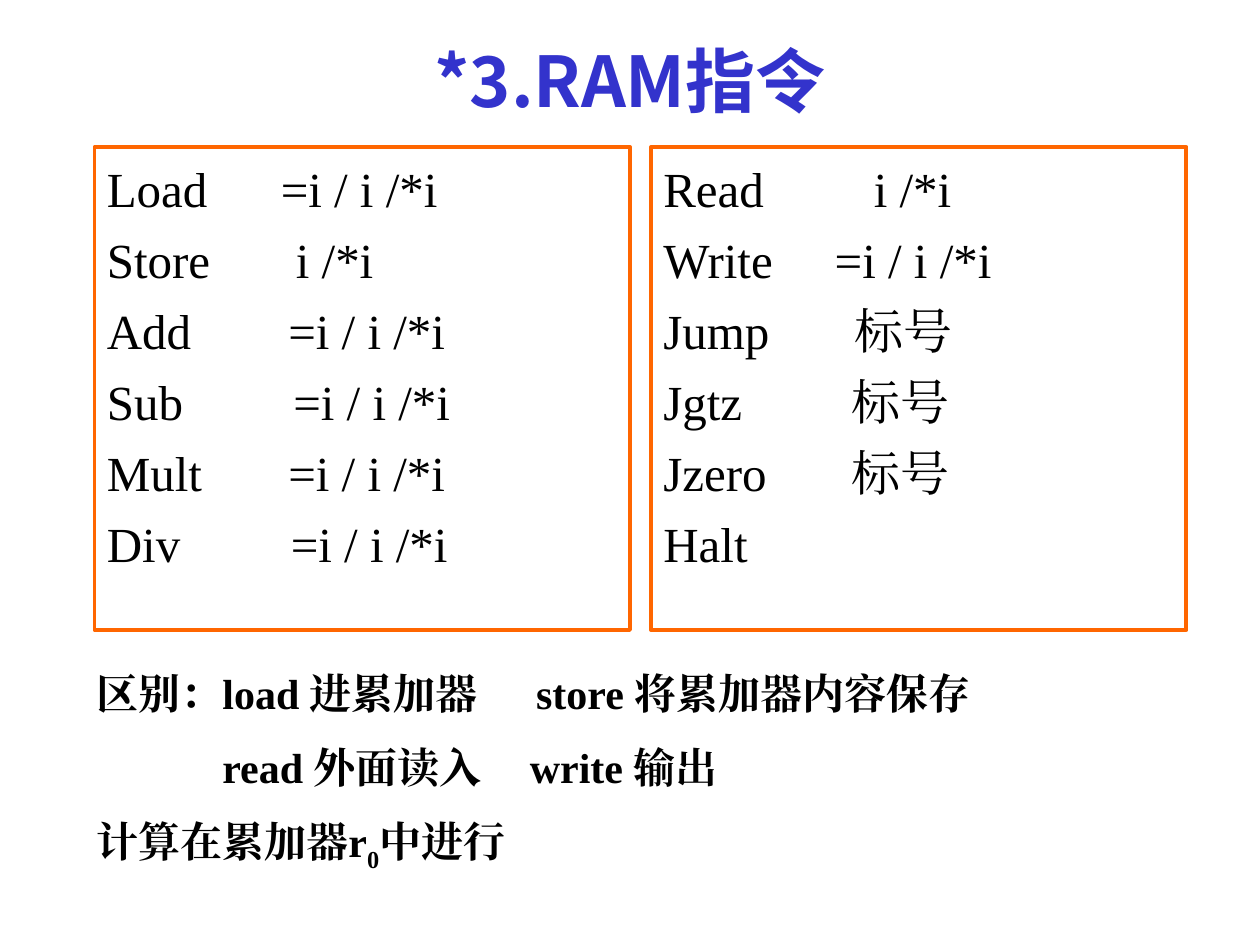
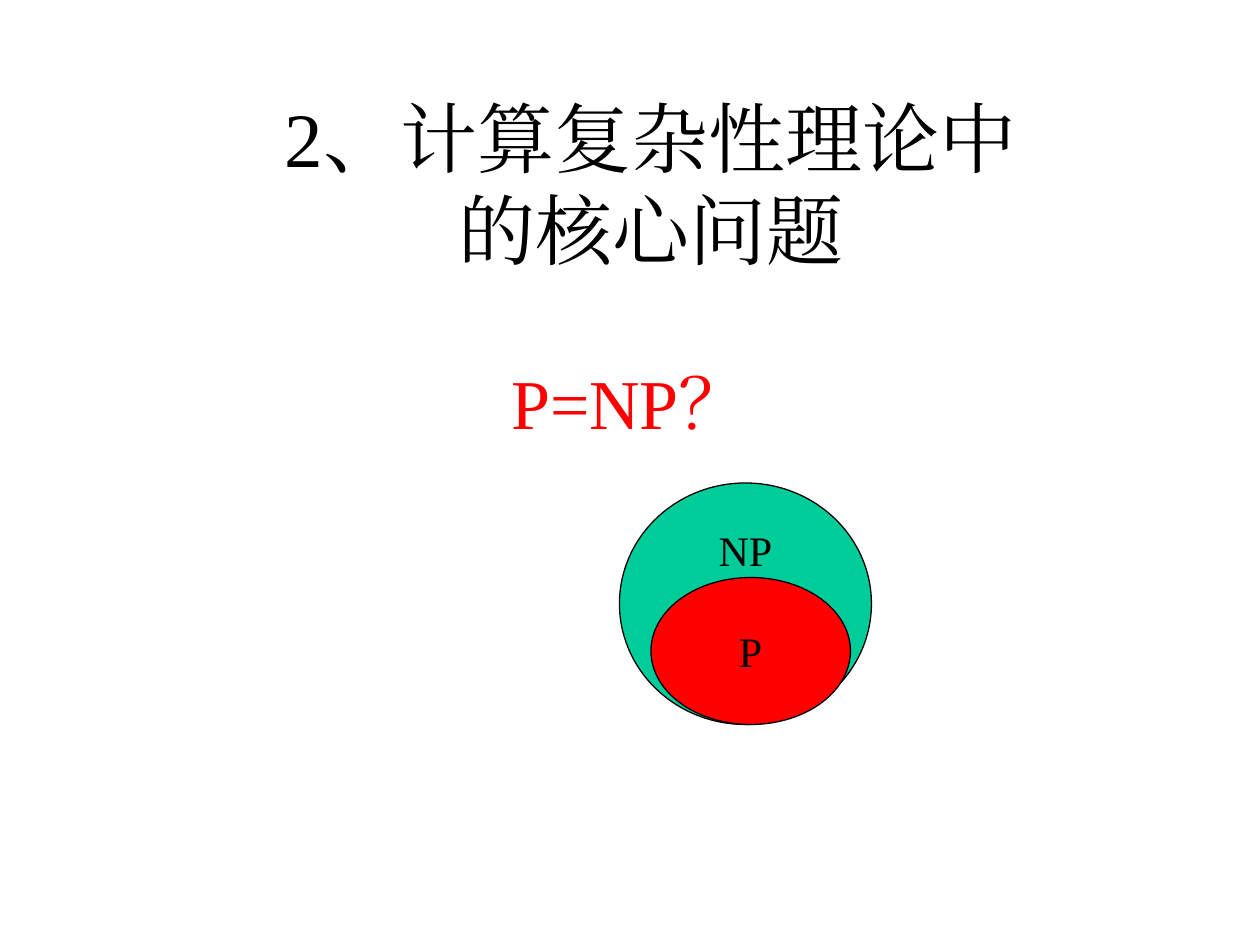
from lxml.etree import SubElement
from pptx import Presentation
from pptx.dml.color import RGBColor
from pptx.enum.shapes import MSO_SHAPE
from pptx.enum.text import MSO_ANCHOR, PP_ALIGN
from pptx.oxml.ns import qn
from pptx.util import Inches, Pt

BLACK = RGBColor(0x00, 0x00, 0x00)
RED = RGBColor(0xFF, 0x00, 0x00)
BLUE = RGBColor(0x33, 0x33, 0xCC)
ORANGE = RGBColor(0xFF, 0x66, 0x00)
GREEN = RGBColor(0x00, 0xCC, 0x99)
SERIF = "Times New Roman"
SANS = "Noto Sans CJK SC"
COLS, ROWS = 120, 90  # grid of the whole slide


class Deck:
    """Holds the style and the current slide; boxes are (col, row, cols, rows)."""

    def __init__(self):
        self.prs = Presentation()
        self.prs.slide_width, self.prs.slide_height = Inches(10), Inches(7.5)
        self.s = None

    def new_slide(self):
        self.s = self.prs.slides.add_slide(self.prs.slide_layouts[6])

    def place(self, box):
        dx, dy = self.prs.slide_width / COLS, self.prs.slide_height / ROWS
        return [int(n * d) for n, d in zip(box, (dx, dy, dx, dy))]

    def paragraph(self, p, text, size, color=BLACK, font=SERIF, bold=False,
                  align=PP_ALIGN.LEFT, before=0, stops=()):
        """Fill a paragraph; stops are tab positions in inches."""
        p.text = text
        p.alignment = align
        p.space_before = Pt(before)
        if stops:
            tabs = SubElement(p._p.get_or_add_pPr(), qn("a:tabLst"))
            for stop in stops:
                SubElement(tabs, qn("a:tab"), pos=str(Inches(stop)), algn="l")
        f = p.font
        f.size, f.bold, f.name = Pt(size), bold, font
        f.color.rgb = color
        SubElement(f._element, qn("a:ea"), typeface=font)

    def text(self, box, lines, size, before=0, inset=0.05, **style):
        """Text box; each line is a string or (string, tab stops)."""
        sp = self.s.shapes.add_textbox(*self.place(box))
        tf = sp.text_frame
        tf.word_wrap = True
        tf.margin_top = Inches(inset)
        for i, line in enumerate(lines):
            text, stops = (line, ()) if isinstance(line, str) else line
            p = tf.add_paragraph() if i else tf.paragraphs[0]
            self.paragraph(p, text, size, before=before if i else 0,
                           stops=stops, **style)
        return sp

    def title(self, box, text, size, **style):
        self.text(box, [text], size, align=PP_ALIGN.CENTER, **style)

    def instructions(self, box, rows):
        lines = [(f"{name}\t{operand}", [stop]) if operand else name
                 for name, operand, stop in rows]
        sp = self.text(box, lines, 28, before=7, inset=0.09)
        sp.line.color.rgb = ORANGE
        sp.line.width = Pt(2.25)

    def ellipse(self, box, label, fill, anchor):
        sp = self.s.shapes.add_shape(MSO_SHAPE.OVAL, *self.place(box))
        sp.shadow.inherit = False
        sp.fill.solid()
        sp.fill.fore_color.rgb = fill
        sp.line.color.rgb = BLACK
        sp.line.width = Pt(0.75)
        tf = sp.text_frame
        tf.word_wrap = False
        tf.vertical_anchor = anchor
        self.paragraph(tf.paragraphs[0], label, 24, align=PP_ALIGN.CENTER)


def ram_slide(d):
    d.new_slide()
    d.title((9, 3, 102, 9), "*3.RAM指令", 40, color=BLUE, font=SANS, bold=True)

    # Instruction lists: name, operand, operand position
    any_operand, address, label = "=i / i /*i", "i /*i", "标号"
    lists = [
        [("Load", any_operand, 1.38), ("Store", address, 1.5),
         ("Add", any_operand, 1.44), ("Sub", any_operand, 1.48),
         ("Mult", any_operand, 1.44), ("Div", any_operand, 1.46)],
        [("Read", address, 1.67), ("Write", any_operand, 1.36),
         ("Jump", label, 1.52), ("Jgtz", label, 1.49),
         ("Jzero", label, 1.49), ("Halt", "", 0)],
    ]
    for i, rows in enumerate(lists):
        d.instructions((9 + 53 * i, 14, 51, 46), rows)

    # Notes on the accumulator
    sp = d.text((8, 63, 105, 20.6), [
        ("区别：load 进累加器\tstore 将累加器内容保存", [3.49]),
        ("\tread 外面读入\twrite 输出", [1, 3.44]),
        "计算在累加器r",
    ], 24, before=13.5, bold=True)
    p = sp.text_frame.paragraphs[-1]
    for text, baseline in (("0", -25000), ("中进行", 0)):
        r = p.add_run()
        r.text = text
        r._r.get_or_add_rPr().set("baseline", str(baseline))


def p_np_slide(d):
    d.new_slide()
    d.title((9, 8, 106, 15), "2、计算复杂性理论中\v的核心问题", 44)
    d.text((9, 33, 102, 54), ["P=NP？"], 40, inset=0.1, color=RED,
           align=PP_ALIGN.CENTER)

    # P inside NP
    d.ellipse((59, 46, 24, 23), "NP", GREEN, MSO_ANCHOR.TOP)
    d.ellipse((62, 55, 19, 14), "P", RED, MSO_ANCHOR.MIDDLE)


def main():
    d = Deck()
    ram_slide(d)
    p_np_slide(d)
    d.prs.save("out.pptx")


if __name__ == "__main__":
    main()
